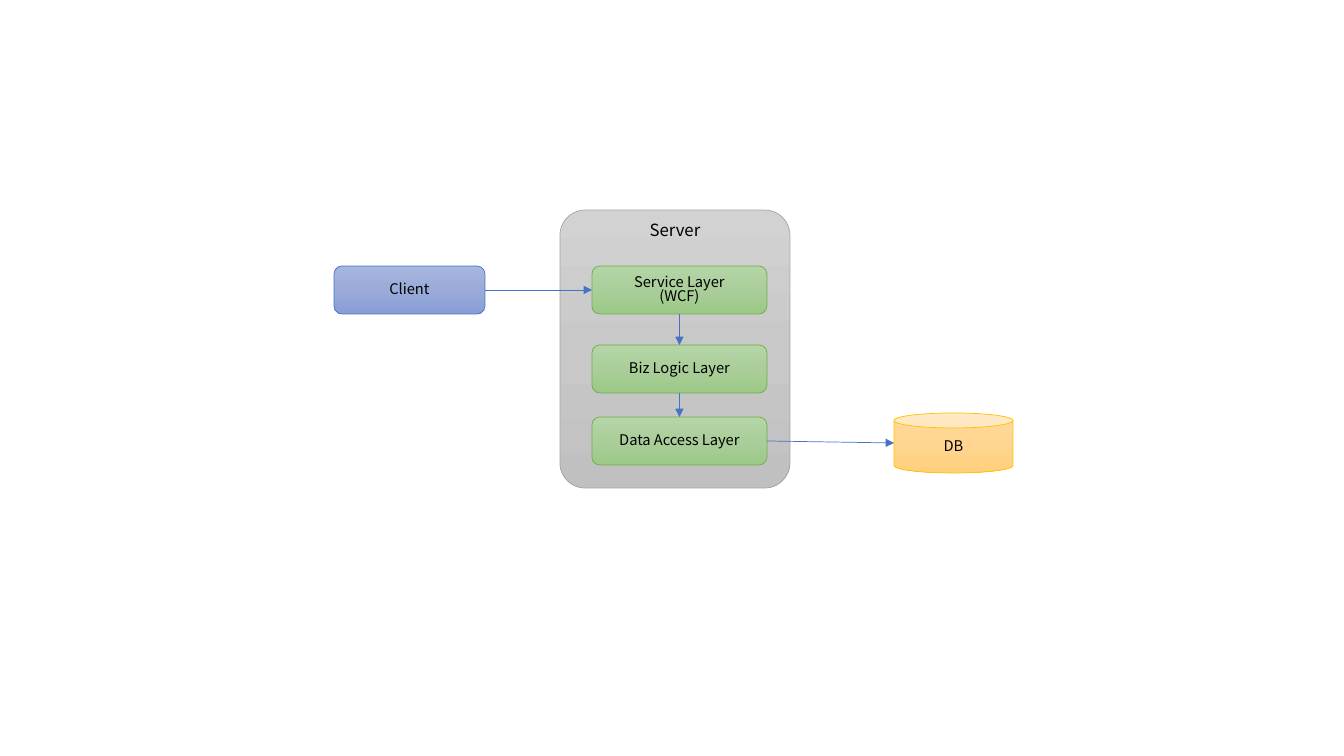
import copy

import pptx
import pptx.dml.color
import pptx.enum.shapes
import pptx.enum.text
import pptx.oxml
import pptx.util

PX = 914400 / 100.8
FONT = "Noto Sans CJK KR"
SHAPE = pptx.enum.shapes.MSO_SHAPE
ANCHOR = pptx.enum.text.MSO_ANCHOR
TOP, LEFT, BOTTOM, RIGHT = range(4)

# Gradient from top to bottom, then the line colour
GREY = ("D2D2D2", "C8C8C8", "C0C0C0"), "A5A5A5"
BLUE = ("A8B7DF", "9AABD9", "889ED7"), "4472C4"
GREEN = ("B5D5A7", "AACE9A", "9CC987"), "70AD47"
GOLD = ("FFDB9E", "FFD590", "FFD07C"), "FFC000"
ARROW = "4472C4"

SERVER = "Server", (560, 210, 230, 278)
CLIENT = "Client", (334, 266, 151, 48)
DB = "DB", (894, 413, 119, 60)
LAYERS = [("Service Layer\v(WCF)", 266), ("Biz Logic Layer", 345), ("Data Access Layer", 417)]
LAYER_X, LAYER_W, LAYER_H = 592, 175, 48


def px(n):
    """Turn pixels into EMU."""
    return pptx.util.Emu(round(n * PX))


def rgb(code):
    """Turn a hex string into a colour."""
    return pptx.dml.color.RGBColor.from_string(code)


def set_gradient(fill, colours):
    """Fill from top to bottom with three evenly spaced colours."""
    fill.gradient()
    fill.gradient_angle = 270
    first = fill.gradient_stops[0]._gs
    first.addnext(copy.deepcopy(first))
    for i, (stop, colour) in enumerate(zip(fill.gradient_stops, colours)):
        stop.position = i / 2
        stop.color.rgb = rgb(colour)


def add_box(s, text, box, style, kind=SHAPE.ROUNDED_RECTANGLE, size=10.5, anchor=ANCHOR.MIDDLE):
    """Add a gradient shape with centred black text."""
    colours, line = style
    sp = s.shapes.add_shape(kind, *map(px, box))
    sp.shadow.inherit = False
    set_gradient(sp.fill, colours)
    sp.line.color.rgb = rgb(line)
    sp.line.width = pptx.util.Pt(0.5)
    tf = sp.text_frame
    tf.word_wrap = True
    tf.vertical_anchor = anchor
    p = tf.paragraphs[0]
    p.text = text
    p.alignment = pptx.enum.text.PP_ALIGN.CENTER
    p.line_spacing = 0.85
    p.font.name = FONT
    p.font.size = pptx.util.Pt(size)
    p.font.color.rgb = rgb("000000")
    return sp


def add_arrow(s, start, start_side, end, end_side=None):
    """Join two shapes; without an end side, stop at the middle of the left edge."""
    c = s.shapes.add_connector(pptx.enum.shapes.MSO_CONNECTOR.STRAIGHT,
                               0, 0, end.left, end.top + end.height // 2)
    c.begin_connect(start, start_side)
    if end_side is not None:
        c.end_connect(end, end_side)
    c.line.color.rgb = rgb(ARROW)
    c.line.width = pptx.util.Pt(0.5)
    ns = pptx.oxml.ns.qn
    c.line._get_or_add_ln().append(
        pptx.oxml.parse_xml('<a:tailEnd %s type="triangle"/>' % pptx.oxml.ns.nsdecls("a")))
    c._element.spPr.append(c._element.makeelement(ns("a:effectLst"), {}))


prs = pptx.Presentation()
prs.slide_width, prs.slide_height = px(1344), px(756)
s = prs.slides.add_slide(prs.slide_layouts[6])

server = add_box(s, *SERVER, GREY, size=12, anchor=ANCHOR.TOP)
server.adjustments[0] = 0.11
client = add_box(s, *CLIENT, BLUE)
layers = [add_box(s, text, (LAYER_X, y, LAYER_W, LAYER_H), GREEN) for text, y in LAYERS]
db = add_box(s, *DB, GOLD, kind=SHAPE.CAN)

add_arrow(s, client, RIGHT, layers[0], LEFT)
for upper, lower in zip(layers, layers[1:]):
    add_arrow(s, upper, BOTTOM, lower, TOP)
add_arrow(s, layers[-1], RIGHT, db)

prs.save("out.pptx")
